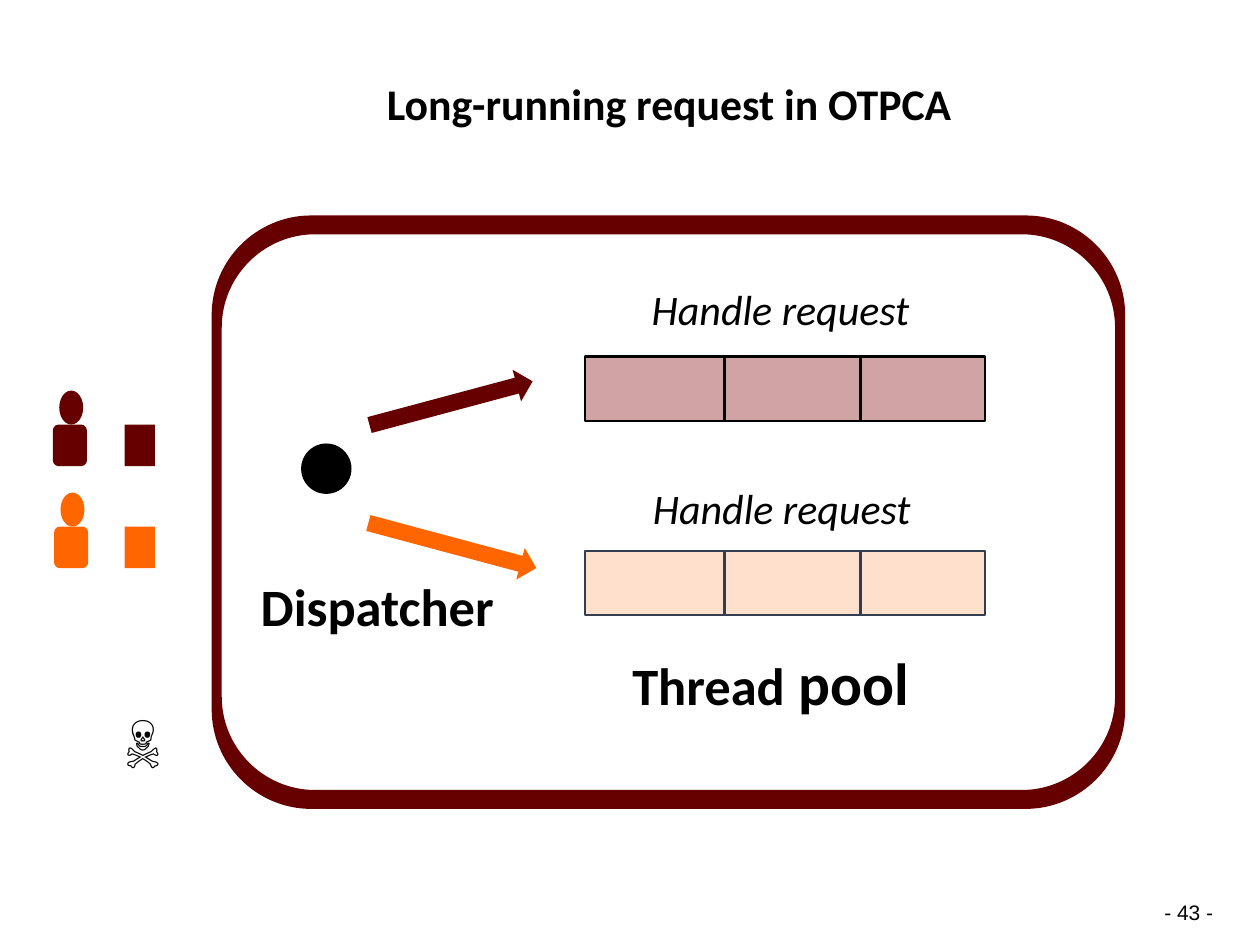
from pptx import Presentation
from pptx.dml.color import RGBColor
from pptx.enum.shapes import MSO_SHAPE as Shape
from pptx.enum.text import MSO_ANCHOR as Anchor, PP_ALIGN as Align
from pptx.oxml import parse_xml
from pptx.oxml.ns import nsdecls, qn
from pptx.util import Inches, Pt

MAROON = RGBColor(0x66, 0x00, 0x00)
ORANGE = RGBColor(0xFF, 0x66, 0x00)
BLACK = RGBColor(0x00, 0x00, 0x00)
PINK = RGBColor(0xD0, 0xA4, 0xA4)
PEACH = RGBColor(0xFF, 0xE0, 0xCC)
SLATE = RGBColor(0x33, 0x3F, 0x50)

# Content: lengths in inches
TITLE = "Long-running request in OTPCA"
FRAME_OUTER = (1.68, 1.71, 7.25, 4.71, 0.79)  # left, top, width, height, radius
FRAME_INNER = (1.76, 1.86, 7.09, 4.41, 0.74)
DISPATCHER_DOT = (2.39, 3.52, 0.4, 0.4)
ARROWS = [  # place, rotation, colour
    ((2.91, 3.07, 1.34, 0.26), 345, MAROON),
    ((2.9, 4.2, 1.38, 0.26), 15, ORANGE),
]
CLIENTS = [  # left, top, colour
    (0.42, 3.1, MAROON),
    (0.43, 3.91, ORANGE),
]
THREADS = [  # top, fill, line
    (2.83, PINK, BLACK),
    (4.37, PEACH, SLATE),
]
THREAD_LEFT, THREAD_HEIGHT = 4.64, 0.51
STEP_WIDTHS = [1.11, 1.08, 0.99]
BOLD, ITALIC, PLAIN = "bold", "italic", "plain"
LABELS = [  # place, runs (text, size), style, font, alignment, wrap
    ((1.29, 4.6, 3.41, 0.5), [("Dispatcher", 30)], BOLD, "Calibri", Align.CENTER, True),
    ((4.49, 2.28, 3.41, 0.42), [("Handle request", 24)], ITALIC, "Calibri", Align.CENTER, True),
    ((4.5, 3.86, 3.41, 0.42), [("Handle request", 24)], ITALIC, "Calibri", Align.CENTER, True),
    ((4.92, 5.19, 2.9, 1.13), [("Thread", 30), (" pool", 34)], BOLD, "Calibri", Align.LEFT, True),
    ((0.9, 5.67, 0.59, 0.57), [("☠︎", 28)], PLAIN, "Roboto", Align.LEFT, False),
]
PAGE_NUMBER = "- 43 -"


def style_font(font, name, size, style=PLAIN):
    font.name, font.size = name, Pt(size)
    font.bold, font.italic = style == BOLD, style == ITALIC
    font.color.rgb = BLACK


def paint(shape, fill, line=None):
    shape.shadow.inherit = False
    shape.fill.solid()
    shape.fill.fore_color.rgb = fill
    if line is None:
        shape.line.fill.background()
    else:
        shape.line.color.rgb = line
        shape.line.width = Pt(1.25)


def add_filled(slide, kind, place, fill, line=None):
    shape = slide.shapes.add_shape(kind, *map(Inches, place))
    paint(shape, fill, line)
    return shape


def rounded_outline(left, top, width, height, radius):
    """Four points a corner, clockwise: start, two curve handles, end."""
    right, bottom = left + width, top + height
    corners = [  # corner, direction back to the start, direction on to the end
        (left, top, (0, 1), (1, 0)),
        (right, top, (-1, 0), (0, 1)),
        (right, bottom, (0, -1), (-1, 0)),
        (left, bottom, (1, 0), (0, -1)),
    ]
    handle = 0.45 * radius
    return [(Inches(x + dx * reach), Inches(y + dy * reach))
            for x, y, back, onward in corners
            for (dx, dy), reach in ((back, radius), (back, handle),
                                    (onward, handle), (onward, radius))]


def curve_corners(shape):
    """Turn the three segments of each corner into one Bezier curve."""
    points = list(shape.element.iter(qn("a:pt")))
    for first in range(1, len(points), 4):
        curve = parse_xml(f"<a:cubicBezTo {nsdecls('a')}/>")
        points[first].getparent().addprevious(curve)
        for point in points[first:first + 3]:
            segment = point.getparent()
            curve.append(point)
            segment.getparent().remove(segment)


def add_frame(slide):
    outer = rounded_outline(*FRAME_OUTER)
    inner = rounded_outline(*FRAME_INNER)[::-1]
    builder = slide.shapes.build_freeform(*outer[0])
    builder.add_line_segments(outer[1:], close=True)
    builder.move_to(*inner[0])
    builder.add_line_segments(inner[1:], close=True)
    frame = builder.convert_to_shape()
    curve_corners(frame)
    paint(frame, MAROON)


def add_label(slide, place, runs, style, font_name, alignment, wrap):
    frame = slide.shapes.add_textbox(*map(Inches, place)).text_frame
    frame.word_wrap = wrap
    paragraph = frame.paragraphs[0]
    paragraph.alignment = alignment
    paragraph.line_spacing = 0.8
    for text, size in runs:
        run = paragraph.add_run()
        run.text = text
        style_font(run.font, font_name, size, style)


def add_title(slide):
    title = slide.shapes.title
    title.left, title.top, title.width, title.height = map(Inches, (1.46, 0.61, 7.7, 0.47))
    frame = title.text_frame
    frame.text = TITLE
    frame.word_wrap = True
    frame.vertical_anchor = Anchor.MIDDLE
    paragraph = frame.paragraphs[0]
    paragraph.alignment = Align.CENTER
    paragraph.line_spacing = 0.9
    style_font(paragraph.runs[0].font, "Calibri", 25, BOLD)


def add_page_number(slide):
    frame = slide.shapes.add_textbox(*map(Inches, (9.19, 7.12, 0.52, 0.24))).text_frame
    frame.margin_left = frame.margin_right = Inches(0.05)
    frame.margin_top = frame.margin_bottom = Inches(0.02)
    frame.word_wrap = False
    frame.text = PAGE_NUMBER
    style_font(frame.paragraphs[0].runs[0].font, "Arial", 12)


def main():
    presentation = Presentation()
    presentation.slide_width, presentation.slide_height = Inches(10), Inches(7.5)
    slide = presentation.slides.add_slide(presentation.slide_layouts[5])
    add_page_number(slide)
    add_title(slide)

    # Server frame with the dispatcher
    add_frame(slide)
    add_filled(slide, Shape.OVAL, DISPATCHER_DOT, BLACK)
    for place, rotation, color in ARROWS:
        add_filled(slide, Shape.RIGHT_ARROW, place, color).rotation = rotation

    # Clients: head, body and request
    for left, top, color in CLIENTS:
        add_filled(slide, Shape.OVAL, (left + 0.05, top, 0.19, 0.27), color)
        add_filled(slide, Shape.ROUNDED_RECTANGLE, (left, top + 0.27, 0.27, 0.33), color)
        add_filled(slide, Shape.RECTANGLE, (0.99, top + 0.27, 0.24, 0.33), color)

    # Threads, each a row of steps
    for top, fill, line in THREADS:
        left = THREAD_LEFT
        for width in STEP_WIDTHS:
            add_filled(slide, Shape.RECTANGLE, (left, top, width, THREAD_HEIGHT), fill, line)
            left += width

    # Labels
    for label in LABELS:
        add_label(slide, *label)

    presentation.save("out.pptx")


if __name__ == "__main__":
    main()
